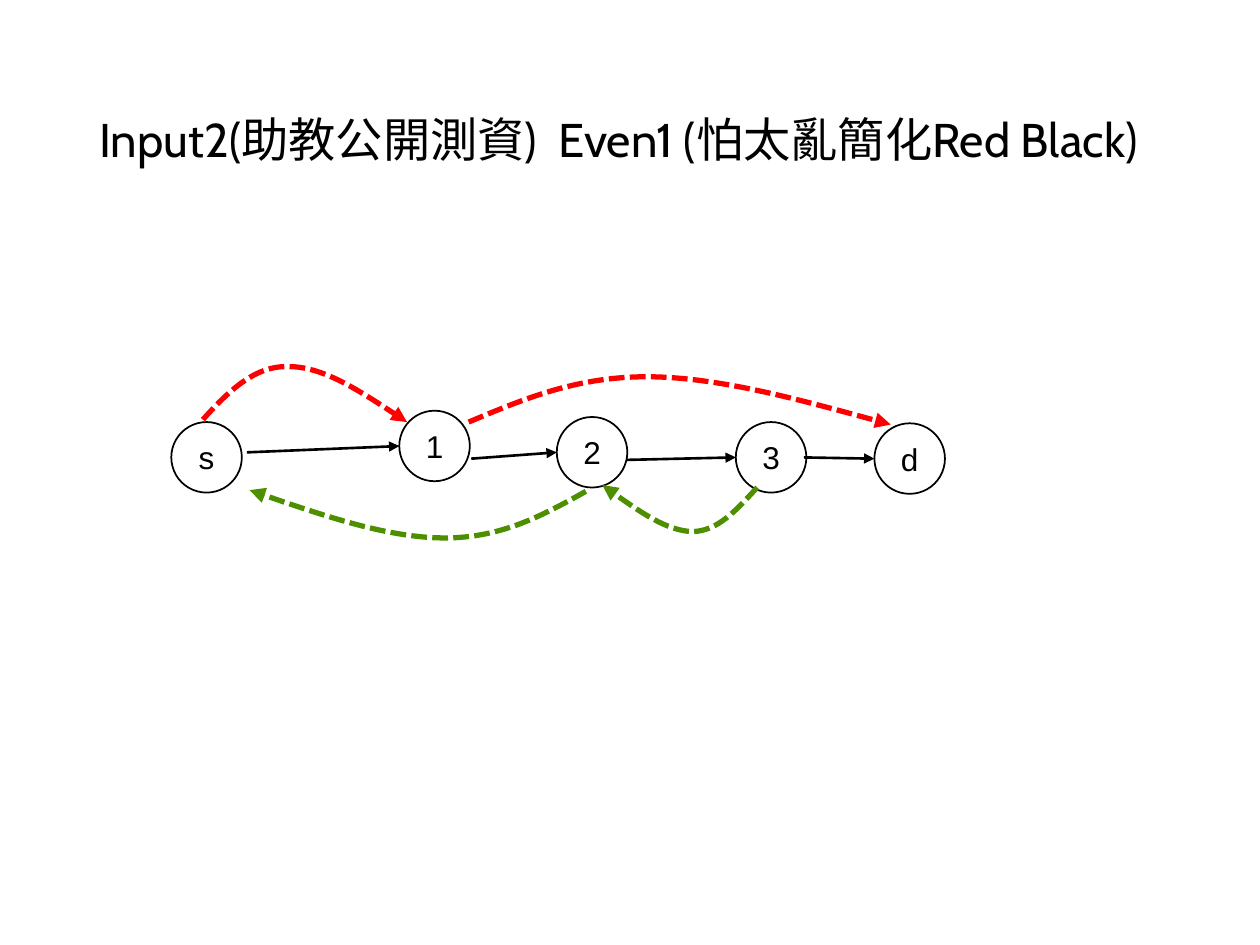
from dataclasses import dataclass
from typing import Any, NamedTuple

from lxml import etree
from pptx import Presentation
from pptx import util as u
from pptx.dml.color import RGBColor
from pptx.enum import dml, shapes, text
from pptx.oxml.ns import qn


@dataclass(frozen=True)
class Theme:
    ink: str = "000000"
    paper: str = "FFFFFF"
    red: str = "FF0000"
    green: str = "4E8F00"
    head: str = "Cabin"
    body: str = "Arial"
    title: float = 27
    label: float = 18
    ring: float = 1
    edge: float = 1.5
    arc: float = 3


class Node(NamedTuple):
    label: str
    left: float
    top: float
    fill: str | None = None


class Edge(NamedTuple):
    start: tuple[float, float]
    end: tuple[float, float]


class Arc(NamedTuple):
    color: str
    start: tuple[float, float]
    bends: list[tuple[float, float]]


THEME = Theme()
SIZE = 40.3
TITLE = "Input2(助教公開測資)  Even1 (怕太亂簡化Red Black)"

NODES = [
    Node("1", 228.2, 234.7),
    Node("2", 318.2, 238.3),
    Node("3", 420.5, 241.2),
    Node("s", 97.9, 241.2),
    Node("d", 499.7, 241.9, THEME.paper),
]
EDGES = [
    Edge((141.1, 258.5), (228.2, 254.9)),
    Edge((269.3, 262.1), (318.2, 258.5)),
    Edge((357.8, 262.8), (420.5, 261.4)),
    Edge((459.4, 261.4), (499.7, 262.1)),
]
ARCS = [
    Arc(THEME.red, (267.8, 241.2),
        [(298.8, 228.2), (329, 215.3), (369.4, 215.3),
         (409, 215.3), (459.4, 229), (509, 242.6)]),
    Arc(THEME.green, (334.8, 280.8),
        [(310.3, 294.5), (286.6, 307.4), (254.2, 307.4),
         (222.5, 307.4), (182.2, 293.8), (142.6, 280.1)]),
    Arc(THEME.green, (432.7, 278.6),
        [(421.2, 290.9), (410.4, 303.8), (395.3, 303.8),
         (380.9, 303.1), (362.2, 290.2), (344.2, 277.2)]),
    Arc(THEME.red, (115.9, 239.8),
        [(130.3, 223.9), (145.4, 208.8), (164.9, 209.5),
         (184.3, 209.5), (208.8, 225.4), (232.6, 241.2)]),
]


def apply(item: Any, form: dict[str, Any]) -> None:
    for key, value in form.items():
        setattr(item, key, value)


def points(*spots: float) -> list[int]:
    return [u.Pt(spot) for spot in spots]


def write(shape: Any, words: str, face: str, size: float, frame: dict[str, Any],
          para: dict[str, Any]) -> None:
    apply(shape.text_frame, {"vertical_anchor": text.MSO_ANCHOR.MIDDLE, **frame})
    line = shape.text_frame.paragraphs[0]
    apply(line, para)
    run = line.add_run()
    run.text = words
    apply(run.font, {"name": face, "size": u.Pt(size)})
    run.font.color.rgb = RGBColor.from_string(THEME.ink)


def stroke(shape: Any, color: str, width: float) -> None:
    shape.line.color.rgb = RGBColor.from_string(color)
    shape.line.width = u.Pt(width)


def arrow(shape: Any) -> None:
    line = shape.line._get_or_add_ln()
    etree.SubElement(line, qn("a:tailEnd"), type="triangle")


def add_title(slide: Any) -> None:
    box = slide.shapes.add_textbox(*points(49.7, 28.8, 620.6, 104.4))
    write(box, TITLE, THEME.head, THEME.title,
          {"word_wrap": True}, {"line_spacing": 0.9})


def add_node(slide: Any, node: Node) -> None:
    ring = slide.shapes.add_shape(
        shapes.MSO_SHAPE.OVAL, *points(node.left, node.top, SIZE, SIZE))
    ring.shadow.inherit = False
    if node.fill:
        ring.fill.solid()
        ring.fill.fore_color.rgb = RGBColor.from_string(node.fill)
    else:
        ring.fill.background()
    stroke(ring, THEME.ink, THEME.ring)
    write(ring, node.label, THEME.body, THEME.label,
          {"word_wrap": False}, {"alignment": text.PP_ALIGN.CENTER})


def add_edge(slide: Any, edge: Edge) -> None:
    line = slide.shapes.add_connector(
        shapes.MSO_CONNECTOR.STRAIGHT, *points(*edge.start, *edge.end))
    stroke(line, THEME.ink, THEME.edge)
    arrow(line)
    etree.SubElement(line._element.spPr, qn("a:effectLst"))


def add_arc(slide: Any, arc: Arc) -> None:
    pen = slide.shapes.build_freeform(*points(*arc.start))
    pen.add_line_segments([points(*bend) for bend in arc.bends], close=False)
    curve = pen.convert_to_shape()
    steps = list(curve._element.iter(qn("a:lnTo")))
    for first in range(0, len(steps), 3):
        trio = steps[first:first + 3]
        bend = etree.Element(qn("a:cubicBezTo"))
        trio[0].addprevious(bend)
        for step in trio:
            bend.append(step[0])
            step.getparent().remove(step)
    curve.shadow.inherit = False
    curve.fill.background()
    stroke(curve, arc.color, THEME.arc)
    curve.line.dash_style = dml.MSO_LINE.SQUARE_DOT
    arrow(curve)


def main() -> None:
    deck = Presentation()
    apply(deck, {"slide_width": u.Pt(720), "slide_height": u.Pt(540)})
    slide = deck.slides.add_slide(deck.slide_layouts[6])
    add_title(slide)
    for node in NODES:
        add_node(slide, node)
    for edge in EDGES:
        add_edge(slide, edge)
    for arc in ARCS:
        add_arc(slide, arc)
    deck.save("out.pptx")


if __name__ == "__main__":
    main()
